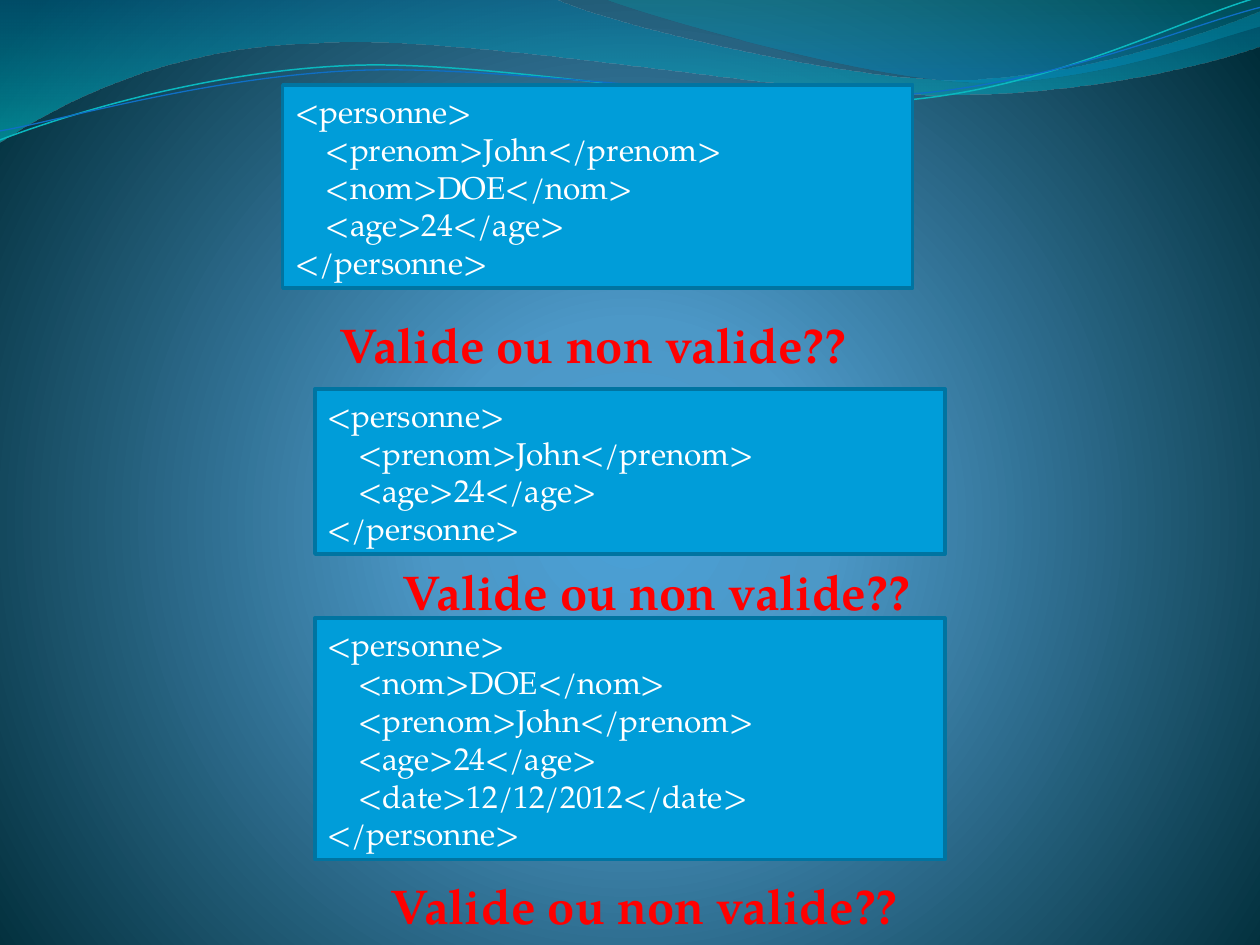
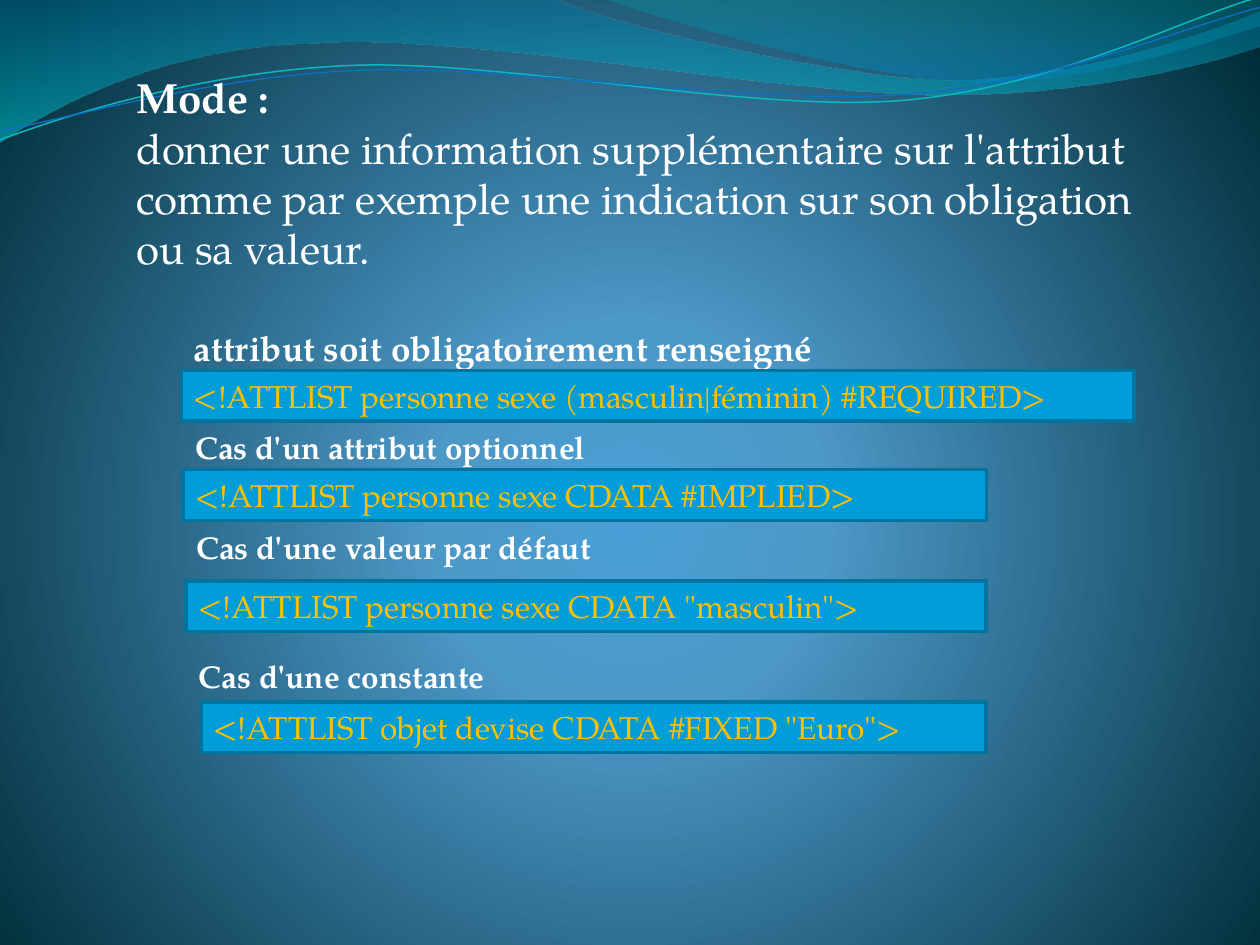
from math import cos, radians, sin

from lxml import etree
from pptx import Presentation
from pptx.dml.color import RGBColor
from pptx.enum.shapes import MSO_SHAPE
from pptx.enum.text import MSO_ANCHOR, PP_ALIGN
from pptx.oxml.ns import qn
from pptx.util import Cm, Pt

RECT = MSO_SHAPE.RECTANGLE
TOP, MIDDLE = MSO_ANCHOR.TOP, MSO_ANCHOR.MIDDLE
LEFT = PP_ALIGN.LEFT
FONT = "TeX Gyre Pagella"
TILT = 2.7  # degrees, anticlockwise, of the two thin waves
HUES = {
    "glow": "4AA0D6", "sky": "4C98C7", "night": "002C38",
    "blue": "0074A1", "aqua": "00C6CF", "teal": "00A1A9", "sea": "008BBF",
    "cyan": "0AB8BF", "navy": "0F6FC6",
    "box": "009DD9", "white": "FFFFFF", "red": "FF0000", "gold": "FFC000",
}

# Wave outlines in cm: a pair is a straight line, six numbers are a curve
BAND = [(0, 0), (11.18, -0.03), (12.09, 0.43, 16.87, 1.6, 19.25, 1.6),
        (21.67, 1.6, 24.33, 0.66, 25.4, 0.23), (25.43, 0.91),
        (24.97, 1.12, 22.1, 1.93, 18.95, 1.91),
        (15.8, 1.91, 9.7, 0.71, 6.53, 0.86),
        (3.28, 0.91, 1.17, 2.11, -0.03, 2.87), (0, 0)]
CREST = [(12.17, -0.03), (12.93, 0.28, 17.32, 1.57, 19.53, 1.65),
         (21.74, 1.75, 24.41, 0.81, 25.4, 0.53), (25.4, 0), (12.17, -0.03)]
UPPER = [(0, 2.82), (1.22, 2.36, 4.01, 1.45, 7.04, 1.32),
         (10.03, 1.19, 15.06, 2.26, 18.11, 2.03),
         (21.16, 1.8, 23.83, 0.38, 25.35, -0.05)]
LOWER = [(0, 2.64), (1.19, 2.44, 4.17, 1.55, 7.19, 1.42),
         (10.24, 1.3, 15.16, 2.13, 18.21, 1.91),
         (21.23, 1.7, 23.9, 0.53, 25.4, 0.15)]


def hue(name):
    return RGBColor.from_string(HUES[name])


def blend(stops):
    """Gradient fill from (percent, colour, opacity); direction comes later."""
    fill = etree.Element(qn("a:gradFill"), rotWithShape="1")
    row = etree.SubElement(fill, qn("a:gsLst"))
    for pos, name, alpha in stops:
        stop = etree.SubElement(row, qn("a:gs"), pos=str(pos * 1000))
        tint = etree.SubElement(stop, qn("a:srgbClr"), val=HUES[name])
        if alpha < 100:
            etree.SubElement(tint, qn("a:alpha"), val=str(alpha * 1000))
    return fill


def turn(point, mid, angle):
    """Rotate a point clockwise about a centre."""
    dx, dy = point[0] - mid[0], point[1] - mid[1]
    c, s = cos(radians(angle)), sin(radians(angle))
    return mid[0] + dx * c - dy * s, mid[1] + dx * s + dy * c


def bend(shape, parts):
    """Join each three straight steps of a curved part into one Bezier."""
    track = next(shape.element.iter(qn("a:path")))
    steps = iter(track.findall(qn("a:lnTo")))
    for part in parts[1:]:
        step = next(steps)
        if len(part) == 6:
            curve = etree.Element(qn("a:cubicBezTo"))
            track.replace(step, curve)
            curve.append(step[0])
            for _ in range(2):
                more = next(steps)
                curve.append(more[0])
                track.remove(more)


def wave(slide, parts, stops=None, line=None, mid=None):
    dots = [part[i:i + 2] for part in parts for i in range(0, len(part), 2)]
    if mid:
        dots = [turn(dot, mid, TILT) for dot in dots]
    first, *rest = [(Cm(x), Cm(y)) for x, y in dots]
    pen = slide.shapes.build_freeform(*first)
    pen.add_line_segments(rest, close=bool(stops))
    shape = pen.convert_to_shape()
    bend(shape, parts)
    shape.shadow.inherit = False
    shape.fill.background()
    if mid:
        shape.rotation = 360 - TILT
    if stops:
        fill = blend(stops)
        etree.SubElement(fill, qn("a:lin"), ang="5400000", scaled="1")
        props = shape.element.spPr
        props.replace(props.find(qn("a:noFill")), fill)
        shape.line.fill.background()
    else:
        name, width = line
        shape.line.color.rgb = hue(name)
        shape.line.width = Pt(width)
    return shape


def backdrop(master, slide):
    """Glow and waves, drawn on a slide and moved to the master."""
    sheet = master.element.cSld
    old = sheet.find(qn("p:bg"))
    if old is not None:
        sheet.remove(old)
    ground = etree.Element(qn("p:bg"))
    props = etree.SubElement(ground, qn("p:bgPr"))
    fill = blend([(0, "glow", 100), (25, "sky", 100), (100, "night", 100)])
    way = etree.SubElement(fill, qn("a:path"))
    way.set("path", "circle")
    etree.SubElement(way, qn("a:fillToRect"),
                     l="10000", t="110000", r="10000", b="100000")
    props.append(fill)
    etree.SubElement(props, qn("a:effectLst"))
    sheet.insert(0, ground)

    waves = [
        wave(slide, BAND, stops=[(0, "blue", 45), (100, "aqua", 55)]),
        wave(slide, CREST, stops=[(0, "teal", 30), (80, "sea", 45)]),
        wave(slide, UPPER, line=("cyan", 0.85), mid=(12.67, 1.46)),
        wave(slide, LOWER, line=("navy", 0.75), mid=(12.69, 1.5)),
    ]
    for i, shape in enumerate(waves):
        shape.element.nvSpPr.cNvPr.set("id", str(20 + i))
        sheet.spTree.append(shape.element)


def write(shape, lines, size, color, bold=False, wrap=True, anchor=TOP):
    """Fill a frame; a line is (text, indent in cm)."""
    frame = shape.text_frame
    frame.word_wrap = wrap
    frame.vertical_anchor = anchor
    for i, (text, indent) in enumerate(lines):
        para = frame.add_paragraph() if i else frame.paragraphs[0]
        para.text = text
        para.alignment = LEFT
        para.font.name = FONT
        para.font.size = Pt(size)
        para.font.bold = bold
        para.font.color.rgb = hue(color)
        if indent:
            props = para._p.get_or_add_pPr()
            props.set("marL", str(Cm(indent)))
            props.set("indent", "0")
    return frame


def code(slide, x, y, w, lines, color):
    """Code box, as high as its lines."""
    high = 0.77 * len(lines) + 0.25
    shape = slide.shapes.add_shape(RECT, Cm(x), Cm(y), Cm(w), Cm(high))
    shape.shadow.inherit = False
    shape.fill.solid()
    shape.fill.fore_color.rgb = hue("box")
    shape.line.color.rgb = hue("blue")
    shape.line.width = Pt(2)
    write(shape, lines, 18, color, anchor=MIDDLE)


def label(slide, x, y, w, h, text, size, color="white"):
    shape = slide.shapes.add_textbox(Cm(x), Cm(y), Cm(w), Cm(h))
    write(shape, [(text, 0)], size, color, bold=True, wrap=False)


def quiz(slide, x, y, tags, ask):
    """A person in XML, then the question at its offset from the box."""
    body = [(f"<{tag}>{value}</{tag}>", 0.62) for tag, value in tags]
    code(slide, x, y, 12.7,
         [("<personne>", 0), *body, ("</personne>", 0)], "white")
    dx, dy = ask
    label(slide, x + dx, y + dy, 10.92, 1.45,
          "Valide ou non valide??", 28, "red")


def intro(slide, x, y, w, h):
    shape = slide.shapes.add_textbox(Cm(x), Cm(y), Cm(w), Cm(h))
    frame = write(shape, [
        ("Mode :", 0),
        ("donner une information supplémentaire sur l'attribut comme par "
         "exemple une indication sur son obligation ou sa valeur.", 0),
    ], 24, "white")
    frame.paragraphs[0].font.bold = True


def case(slide, x, y, head, rule, w, drop, wide, size=18, dx=0):
    """A heading with its declaration, kept on one line, below."""
    label(slide, x, y, wide, 1.12 if size > 18 else 1.02, head, size)
    text = f"<!ATTLIST {rule}>".replace(" ", "\u00a0")
    code(slide, x + dx, y + drop, w, [(text, 0)], "gold")


deck = Presentation()
deck.slide_width, deck.slide_height = Cm(25.4), Cm(19.05)
blank = deck.slide_layouts[6]

# Slide 1: valid or not
first = deck.slides.add_slide(blank)
backdrop(deck.slide_master, first)
NAME, NOM, AGE = ("prenom", "John"), ("nom", "DOE"), ("age", "24")
quiz(first, 5.7, 1.71, [NAME, NOM, AGE], (0.89, 4.51))
quiz(first, 6.35, 7.84, [NAME, AGE], (1.52, 3.36))
quiz(first, 6.35, 12.46, [NOM, NAME, AGE, ("date", "12/12/2012")],
     (1.27, 5.07))

# Slide 2: attribute modes
second = deck.slides.add_slide(blank)
intro(second, 2.5, 1.32, 20.8, 5.38)
case(second, 3.66, 6.45, "attribut soit obligatoirement renseigné",
     "personne sexe (masculin|féminin) #REQUIRED", 19.2, 1.02, 13.61, size=20)
case(second, 3.69, 8.51, "Cas d'un attribut optionnel",
     "personne sexe CDATA #IMPLIED", 16.2, 0.96, 8.64)
case(second, 3.71, 10.52, "Cas d'une valeur par défaut",
     'personne sexe CDATA "masculin"', 16.13, 1.19, 8.61, dx=0.04)
case(second, 3.76, 13.12, "Cas d'une constante",
     'objet devise CDATA #FIXED "Euro"', 15.82, 1.03, 6.48, dx=0.3)

deck.save("out.pptx")
